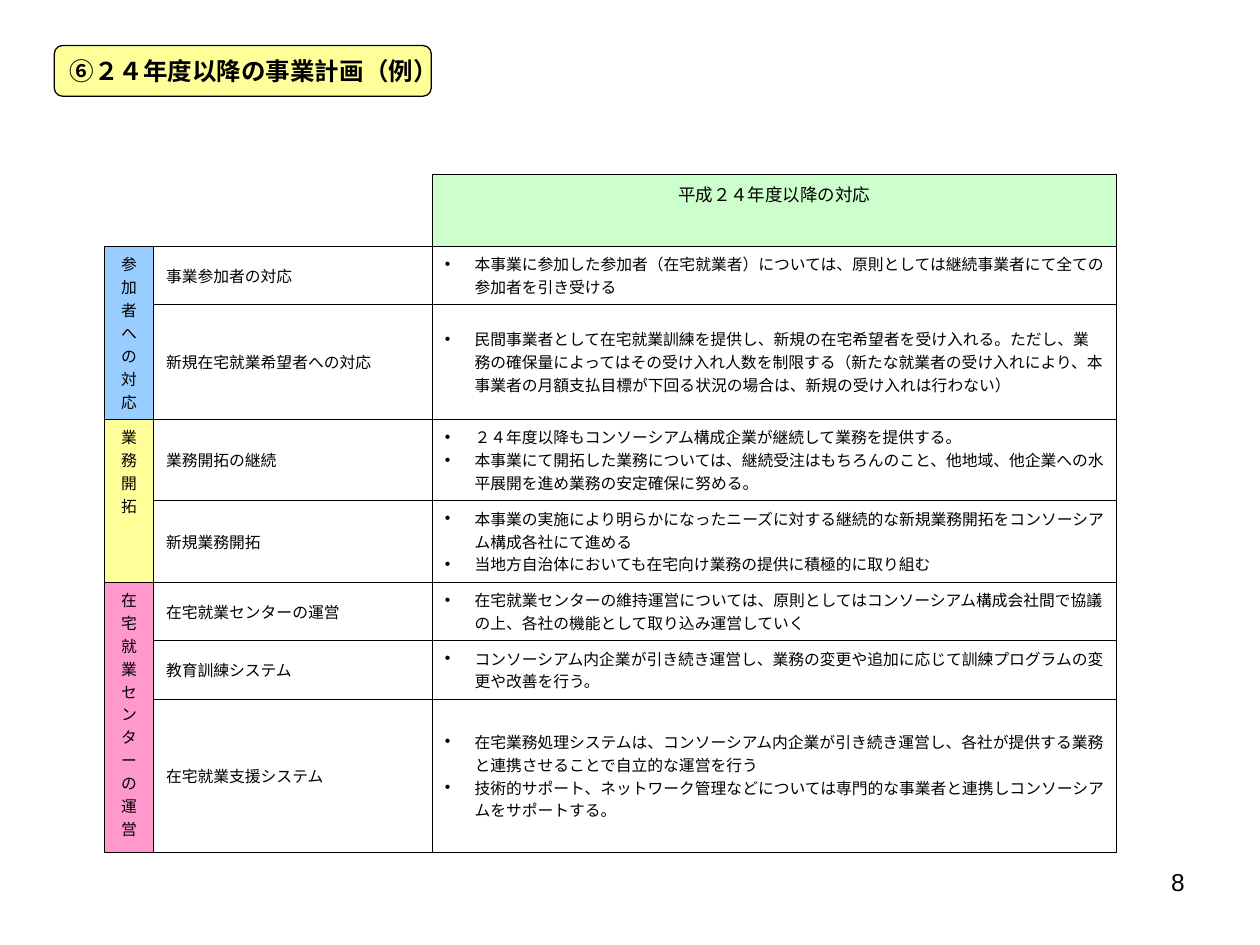
from lxml import etree
from pptx import Presentation
from pptx.dml.color import RGBColor
from pptx.enum import shapes, text
from pptx.oxml import ns
from pptx.util import Pt

BLACK = RGBColor(0x00, 0x00, 0x00)
WHITE = RGBColor(0xFF, 0xFF, 0xFF)
GREEN = RGBColor(0xCC, 0xFF, 0xCC)
BLUE = RGBColor(0x99, 0xCC, 0xFF)
YELLOW = RGBColor(0xFF, 0xFF, 0x99)
PINK = RGBColor(0xFF, 0x99, 0xCC)
CJK = "Noto Sans CJK JP"
LEFT, CENTER, RIGHT = text.PP_ALIGN.LEFT, text.PP_ALIGN.CENTER, text.PP_ALIGN.RIGHT
TOP, MIDDLE = text.MSO_ANCHOR.TOP, text.MSO_ANCHOR.MIDDLE

COLS = [28, 159.25, 390.75]
ROWS = [41, 29, 54, 39.5, 46.75, 29.5, 29, 88]
GROUPS = [
    ("参加者への対応", BLUE, [
        ("事業参加者の対応", [
            "本事業に参加した参加者（在宅就業者）については、原則としては継続事業者にて全ての参加者を引き受ける"]),
        ("新規在宅就業希望者への対応", [
            "民間事業者として在宅就業訓練を提供し、新規の在宅希望者を受け入れる。ただし、業務の確保量によってはその受け入れ人数を制限する（新たな就業者の受け入れにより、本事業者の月額支払目標が下回る状況の場合は、新規の受け入れは行わない）"]),
    ]),
    ("業務開拓", YELLOW, [
        ("業務開拓の継続", [
            "２４年度以降もコンソーシアム構成企業が継続して業務を提供する。",
            "本事業にて開拓した業務については、継続受注はもちろんのこと、他地域、他企業への水平展開を進め業務の安定確保に努める。"]),
        ("新規業務開拓", [
            "本事業の実施により明らかになったニーズに対する継続的な新規業務開拓をコンソーシアム構成各社にて進める",
            "当地方自治体においても在宅向け業務の提供に積極的に取り組む"]),
    ]),
    ("在宅就業センターの運営", PINK, [
        ("在宅就業センターの運営", [
            "在宅就業センターの維持運営については、原則としてはコンソーシアム構成会社間で協議の上、各社の機能として取り込み運営していく"]),
        ("教育訓練システム", [
            "コンソーシアム内企業が引き続き運営し、業務の変更や追加に応じて訓練プログラムの変更や改善を行う。"]),
        ("在宅就業支援システム", [
            "在宅業務処理システムは、コンソーシアム内企業が引き続き運営し、各社が提供する業務と連携させることで自立的な運営を行う",
            "技術的サポート、ネットワーク管理などについては専門的な事業者と連携しコンソーシアムをサポートする。"]),
    ]),
]


def add(parent, tag, **attrs):
    el = etree.SubElement(parent, ns.qn(tag))
    for key, value in attrs.items():
        el.set(key, str(value))
    return el


def write(tf, lines, size, align=LEFT, name=CJK, bold=False, bullet=False):
    for i, line in enumerate(lines):
        p = tf.paragraphs[0] if i == 0 else tf.add_paragraph()
        p.alignment = align
        if bullet:
            pPr = p._p.get_or_add_pPr()
            pPr.set("marL", str(Pt(17)))
            pPr.set("indent", str(-Pt(17)))
            add(add(pPr, "a:buClr"), "a:srgbClr", val=BLACK)
            add(pPr, "a:buFont", typeface="Arial")
            add(pPr, "a:buChar", char="•")
        r = p.add_run()
        r.text = line
        for key, value in {"size": Pt(size), "name": name, "bold": bold}.items():
            setattr(r.font, key, value)
        r.font.color.rgb = BLACK
        add(r._r.get_or_add_rPr(), "a:ea", typeface=CJK)


prs = Presentation()
prs.slide_width, prs.slide_height = Pt(720), Pt(540)
s = prs.slides.add_slide(prs.slide_layouts[5])

title = s.shapes.title
sp = s.shapes.add_shape(shapes.MSO_SHAPE.ROUNDED_RECTANGLE, Pt(31), Pt(26), Pt(215.5), Pt(29))
sp.shadow.inherit = False
sp.fill.solid()
sp.fill.fore_color.rgb = YELLOW
sp.line.color.rgb = BLACK
sp.line.width = Pt(0.75)
title._element.addprevious(sp._element)

for key, value in {"left": 32.5, "top": 26, "width": 240, "height": 29}.items():
    setattr(title, key, Pt(value))
tf = title.text_frame
for key, value in {"word_wrap": False, "auto_size": text.MSO_AUTO_SIZE.NONE,
                   "vertical_anchor": MIDDLE}.items():
    setattr(tf, key, value)
write(tf, ["⑥２４年度以降の事業計画（例）"], 14, name="Arial", bold=True)

frame = s.shapes.add_table(len(ROWS), len(COLS), Pt(59.75), Pt(99.75), Pt(sum(COLS)), Pt(sum(ROWS)))
table = frame.table
table.first_row = table.horz_banding = False
for col, width in zip(table.columns, COLS):
    col.width = Pt(width)
for row, height in zip(table.rows, ROWS):
    row.height = Pt(height)

for r in range(len(ROWS)):
    for c in range(len(COLS)):
        cell = table.cell(r, c)
        tcPr = cell._tc.get_or_add_tcPr()
        for side in "LRTB":
            blank = r == 0 and c < 2 and side in "LT"
            ln = add(tcPr, "a:ln" + side, w=Pt(0.45))
            add(add(ln, "a:solidFill"), "a:srgbClr", val=WHITE if blank else BLACK)
        cell.fill.background()

table.cell(0, 0).merge(table.cell(0, 1))
head = table.cell(0, 2)
head.fill.solid()
head.fill.fore_color.rgb = GREEN
write(head.text_frame, ["平成２４年度以降の対応"], 10, CENTER)

r = 1
for group, color, items in GROUPS:
    side = table.cell(r, 0)
    side.merge(table.cell(r + len(items) - 1, 0))
    side.fill.solid()
    side.fill.fore_color.rgb = color
    side.vertical_anchor = TOP
    write(side.text_frame, [group], 9, CENTER)
    for label, points in items:
        for c, lines in ((1, [label]), (2, points)):
            cell = table.cell(r, c)
            cell.vertical_anchor = MIDDLE
            write(cell.text_frame, lines, 9, bullet=c == 2)
        r += 1

number = s.shapes.add_textbox(Pt(516), Pt(492), Pt(168), Pt(37.5))
number.text_frame.word_wrap = True
write(number.text_frame, ["8"], 14, RIGHT, "Arial")

prs.save("out.pptx")
